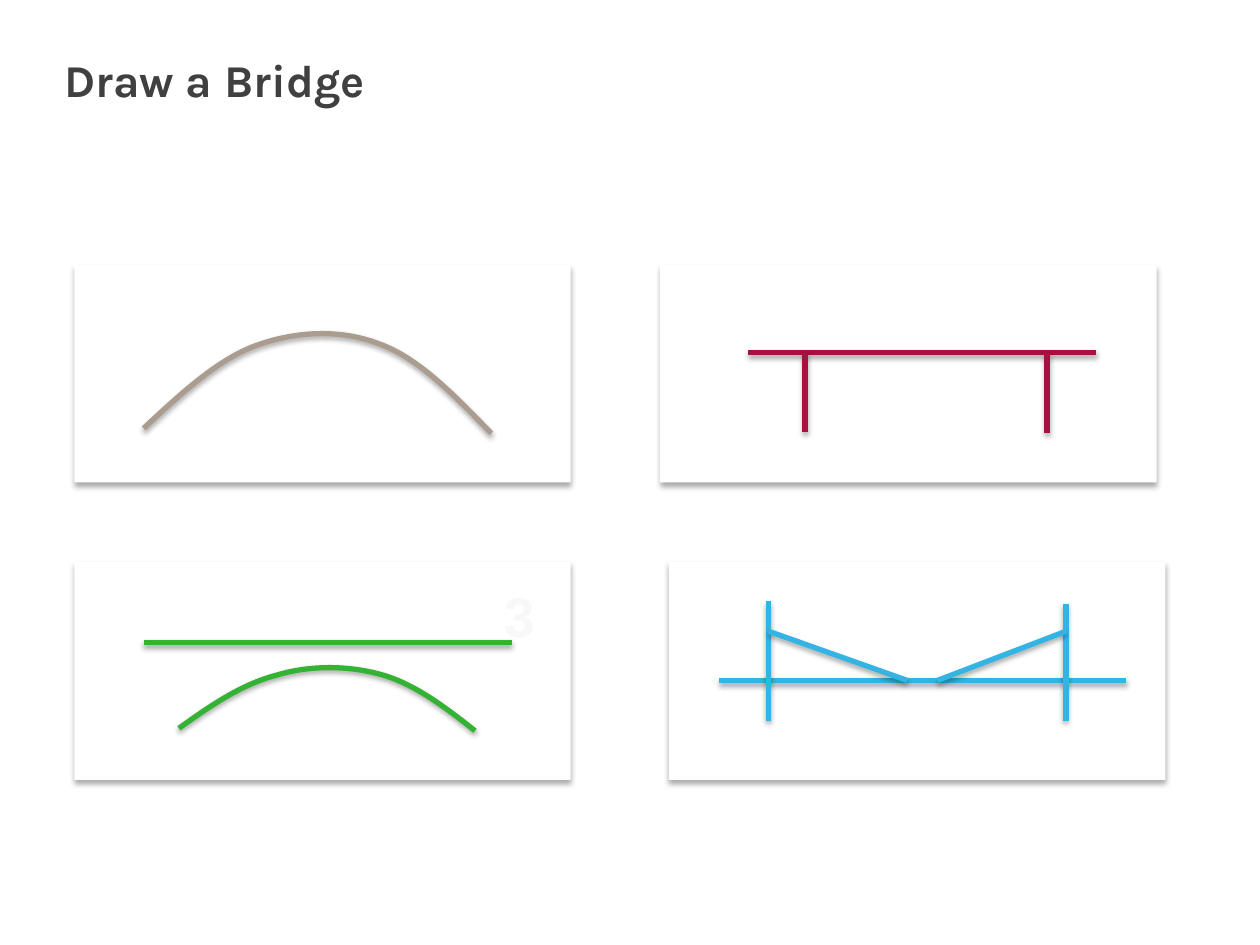
from lxml import etree
from pptx import Presentation, util as u
from pptx.dml.color import RGBColor
from pptx.enum import shapes, text
from pptx.oxml.ns import qn

INK = RGBColor(0x40, 0x40, 0x40)
WHITE = RGBColor(0xFF, 0xFF, 0xFF)
PALE = RGBColor(0xF8, 0xF8, 0xF8)
TAN = RGBColor(0xAA, 0x9C, 0x8F)
RED = RGBColor(0xA5, 0x11, 0x40)
GREEN = RGBColor(0x34, 0xB2, 0x33)
BLUE = RGBColor(0x34, 0xB4, 0xE4)
COLS, ROWS = 100, 75


class Deck:
    """Draws on a slide ruled into 100 columns and 75 rows."""

    def __init__(self):
        self.prs = Presentation()
        self.prs.slide_width, self.prs.slide_height = u.Inches(10), u.Inches(7.5)
        self.slide = self.prs.slides.add_slide(self.prs.slide_layouts[5])
        self.shapes = self.slide.shapes

    def grid(self, *nums):
        """Turn column, row, column, row... into slide lengths."""
        sides = (self.prs.slide_width / COLS, self.prs.slide_height / ROWS)
        return [u.Emu(round(n * sides[i % 2])) for i, n in enumerate(nums)]

    def shade(self, shape, alpha, blur, dist):
        fx = etree.SubElement(shape._element.spPr, qn("a:effectLst"))
        drop = etree.SubElement(fx, qn("a:outerShdw"), blurRad=str(u.Pt(blur)),
                                dist=str(u.Pt(dist)), dir="5400000", rotWithShape="0")
        tint = etree.SubElement(drop, qn("a:srgbClr"), val="000000")
        etree.SubElement(tint, qn("a:alpha"), val=str(alpha * 1000))

    def stroke(self, shape, color):
        shape.line.color.rgb = color
        shape.line.width = u.Pt(3)
        self.shade(shape, 35, 3.1, 1.8)

    def title(self, words):
        box = self.shapes.title
        box.left, box.top, box.width, box.height = self.grid(4.1, 3.6, 90, 12.5)
        frame = box.text_frame
        frame.text = words
        frame.vertical_anchor = text.MSO_ANCHOR.TOP
        para = frame.paragraphs[0]
        para.alignment = text.PP_ALIGN.LEFT
        self.style(para, "Karla", 26, INK)

    def style(self, para, face, size, color):
        font = para.font
        font.name, font.size, font.bold = face, u.Pt(size), True
        font.color.rgb = color

    def card(self, col, row):
        box = self.shapes.add_shape(shapes.MSO_SHAPE.RECTANGLE,
                                    *self.grid(col, row, 39.4, 17.3))
        box.fill.solid()
        box.fill.fore_color.rgb = WHITE
        box.line.fill.background()
        self.shade(box, 32, 3.5, 2.2)

    def label(self, words, col, row):
        frame = self.shapes.add_textbox(*self.grid(col, row, 3.9, 6.4)).text_frame
        frame.word_wrap = True
        frame.auto_size = text.MSO_AUTO_SIZE.SHAPE_TO_FIT_TEXT
        frame.text = words
        self.style(frame.paragraphs[0], "Arial", 32, PALE)

    def beams(self, color, *ends):
        """Draw straight lines, grouped when there are several."""
        home = self.shapes.add_group_shape().shapes if len(ends) > 1 else self.shapes
        for end in ends:
            beam = home.add_connector(shapes.MSO_CONNECTOR.STRAIGHT, *self.grid(*end))
            self.stroke(beam, color)

    def arch(self, color, start, *knots):
        """Draw an open curve; each three knots make one Bezier segment."""
        pen = self.shapes.build_freeform(*self.grid(*start))
        pen.add_line_segments([self.grid(*k) for k in knots], close=False)
        curve = pen.convert_to_shape()
        lines = list(curve._element.iter(qn("a:lnTo")))
        for i in range(0, len(lines), 3):
            bend = etree.Element(qn("a:cubicBezTo"))
            lines[i].addprevious(bend)
            for line in lines[i:i + 3]:
                bend.append(line[0])
                line.getparent().remove(line)
        curve.fill.background()
        self.stroke(curve, color)


def main():
    deck = Deck()
    deck.title("Draw a Bridge")
    for col, row in ((5.9, 44.6), (5.9, 21), (52.4, 21), (53.1, 44.6)):
        deck.card(col, row)
    deck.arch(TAN, (11.4, 34), (14.3, 31.3), (17.3, 28.5), (20.4, 27.4),
              (23.5, 26.3), (27, 26.1), (30.1, 27.3),
              (33.2, 28.4), (36.1, 31.4), (39, 34.4))
    deck.beams(RED, (59.4, 28, 87, 28), (83.1, 28, 83.1, 34.4),
               (63.9, 28, 63.9, 34.3))
    deck.beams(GREEN, (11.4, 51, 40.6, 51))
    deck.arch(GREEN, (14.2, 57.8), (16.7, 56), (19.2, 54.3), (21.9, 53.6),
              (24.5, 52.8), (27.5, 52.8), (30.1, 53.5),
              (32.8, 54.2), (35.3, 56.1), (37.7, 58))
    deck.beams(BLUE, (57.1, 54, 89.4, 54), (61, 47.7, 61, 57.2),
               (84.6, 47.9, 84.6, 57.2), (61, 50.1, 72, 54),
               (84.6, 50.1, 74.4, 54))
    deck.label("3", 39, 45.7)
    deck.prs.save("out.pptx")


if __name__ == "__main__":
    main()
